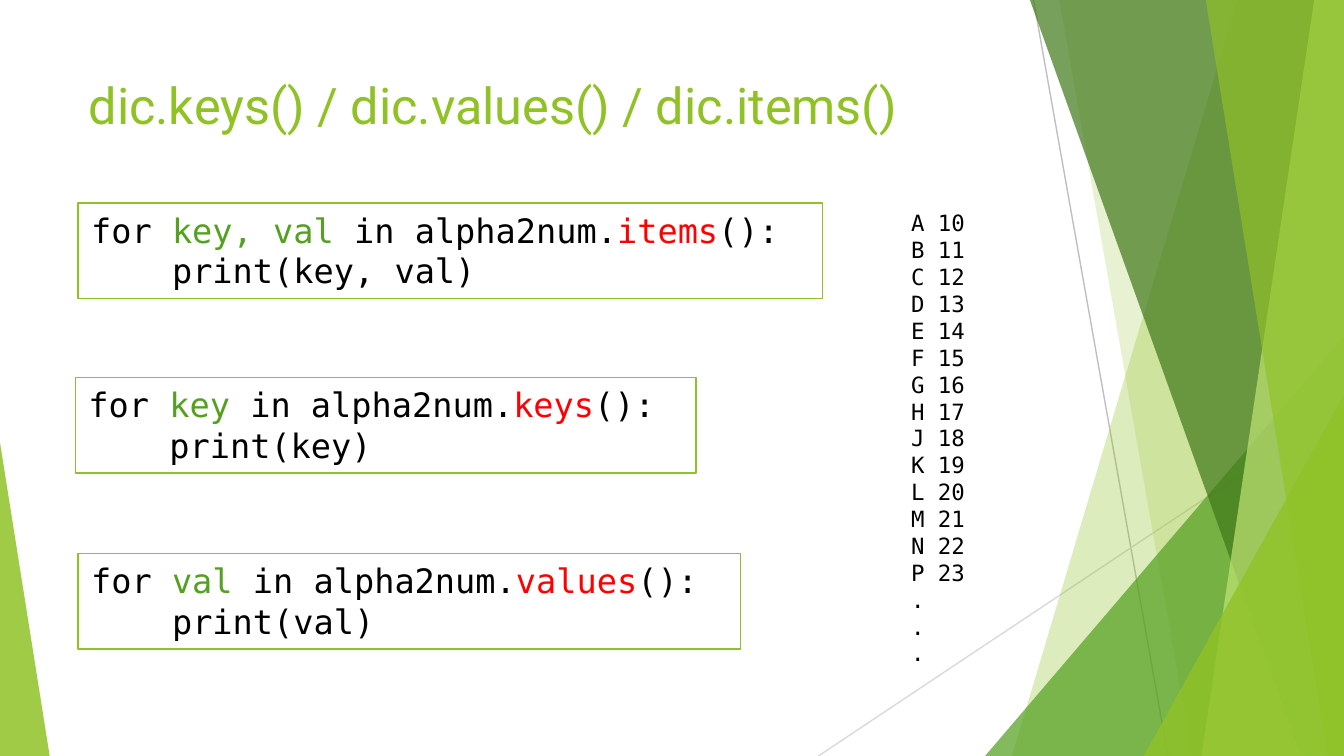
from lxml.etree import SubElement
from pptx import Presentation
from pptx.dml.color import RGBColor
from pptx.enum.shapes import MSO_CONNECTOR, MSO_SHAPE
from pptx.enum.text import MSO_ANCHOR, MSO_AUTO_SIZE, PP_ALIGN
from pptx.oxml.ns import qn
from pptx.util import Inches, Pt

LIME, GREEN, DARK, PALE = "90C226", "54A021", "3F7819", "C0E474"
BLACK, RED, WHITE = "000000", "FF0000", "FFFFFF"
MONO = "DejaVu Sans Mono"
WIDE = 10
HIGH = WIDE * 9 / 16


def paint(fmt, color, alpha=100):
    fmt.solid()
    fmt.fore_color.rgb = RGBColor.from_string(color)
    if alpha < 100:
        node = fmt._xPr.find(qn("a:solidFill"))[0]
        SubElement(node, qn("a:alpha")).set("val", str(alpha * 1000))


def write(para, text, size, font, color):
    run = para.add_run()
    run.text = text
    for name, value in {"size": Pt(size), "name": font, "bold": False}.items():
        setattr(run.font, name, value)
    paint(run.font.fill, color)


deck = Presentation()
deck.slide_width, deck.slide_height = Inches(WIDE), Inches(HIGH)
slide = deck.slides.add_slide(deck.slide_layouts[5])
shapes = slide.shapes

for x1, y1, x2, y2, color in [(7.69, 0, 8.69, HIGH, "BFBFBF"),
                              (WIDE, 3.02, 6.09, HIGH, "D9D9D9")]:
    line = shapes.add_connector(MSO_CONNECTOR.STRAIGHT, Inches(x1), Inches(y1),
                                Inches(x2), Inches(y2))
    line.line.width = Pt(0.75)
    paint(line.line.fill, color)
    SubElement(line._element.spPr, qn("a:effectLst"))

facets = [
    ("band", (9.21, 7.53), LIME, 30),
    ("band", (7.88, 8.87), LIME, 20),
    ("wedge", (7.33, 2.5, 2.67, 1), GREEN, 72),
    ("band", (7.66, 9.68), DARK, 70),
    ("band", (9.78, 8.94), PALE, 70),
    ("band", (8.97, 9.88), LIME, 65),
    ("wedge", (8.51, 2.94, 1.49, 1), LIME, 80),
    ("wedge", (0, 3.29, 0.37, 0), LIME, 85),
]
for kind, place, color, alpha in facets:
    if kind == "band":
        top, base = place
        path = shapes.build_freeform(Inches(top), Inches(-0.01))
        path.add_line_segments([(Inches(x), Inches(y)) for x, y in
                                [(WIDE, -0.01), (WIDE, HIGH), (base, HIGH)]])
        facet = path.convert_to_shape()
    else:
        left, top, width, apex = place
        facet = shapes.add_shape(MSO_SHAPE.ISOSCELES_TRIANGLE, Inches(left),
                                 Inches(top), Inches(width), Inches(HIGH - top))
        facet.adjustments[0] = apex
    paint(facet.fill, color, alpha)
    facet.line.fill.background()
    facet.shadow.inherit = False

title = shapes.title
shapes._spTree.append(title._element)
title.left, title.top = Inches(0.56), Inches(0.5)
title.width, title.height = Inches(7.05), Inches(1.08)
frame = title.text_frame
frame.vertical_anchor = MSO_ANCHOR.TOP
frame.auto_size = MSO_AUTO_SIZE.NONE
para = frame.paragraphs[0]
para.alignment = PP_ALIGN.LEFT
write(para, "dic.keys() / dic.values() / dic.items()", 27, "Roboto", LIME)

loops = [
    (0.58, 1.51, 5.54, "key, val", "items"),
    (0.56, 2.81, 4.62, "key", "keys"),
    (0.58, 4.12, 4.93, "val", "values"),
]
for left, top, width, names, method in loops:
    box = shapes.add_shape(MSO_SHAPE.RECTANGLE, Inches(left), Inches(top),
                           Inches(width), Inches(0.71))
    paint(box.fill, WHITE)
    paint(box.line.fill, LIME)
    box.line.width = Pt(0.75)
    box.shadow.inherit = False
    frame = box.text_frame
    frame.word_wrap = False
    frame.vertical_anchor = MSO_ANCHOR.TOP
    head, body = frame.paragraphs[0], frame.add_paragraph()
    head.alignment = body.alignment = PP_ALIGN.LEFT
    for text, color in [("for ", BLACK), (names + " ", GREEN),
                        ("in alpha2num.", BLACK), (method, RED), ("():", BLACK)]:
        write(head, text, 18, MONO, color)
    write(body, f"    print({names})", 18, MONO, BLACK)

rows = [f"{key} {val}" for val, key in enumerate("ABCDEFGHJKLMNP", 10)] + ["."] * 3
frame = shapes.add_textbox(Inches(6.68), Inches(1.51), Inches(0.61),
                           Inches(3.53)).text_frame
frame.word_wrap = False
for i, row in enumerate(rows):
    para = frame.add_paragraph() if i else frame.paragraphs[0]
    para.alignment = PP_ALIGN.LEFT
    write(para, row, 12, MONO, BLACK)

deck.save("out.pptx")
